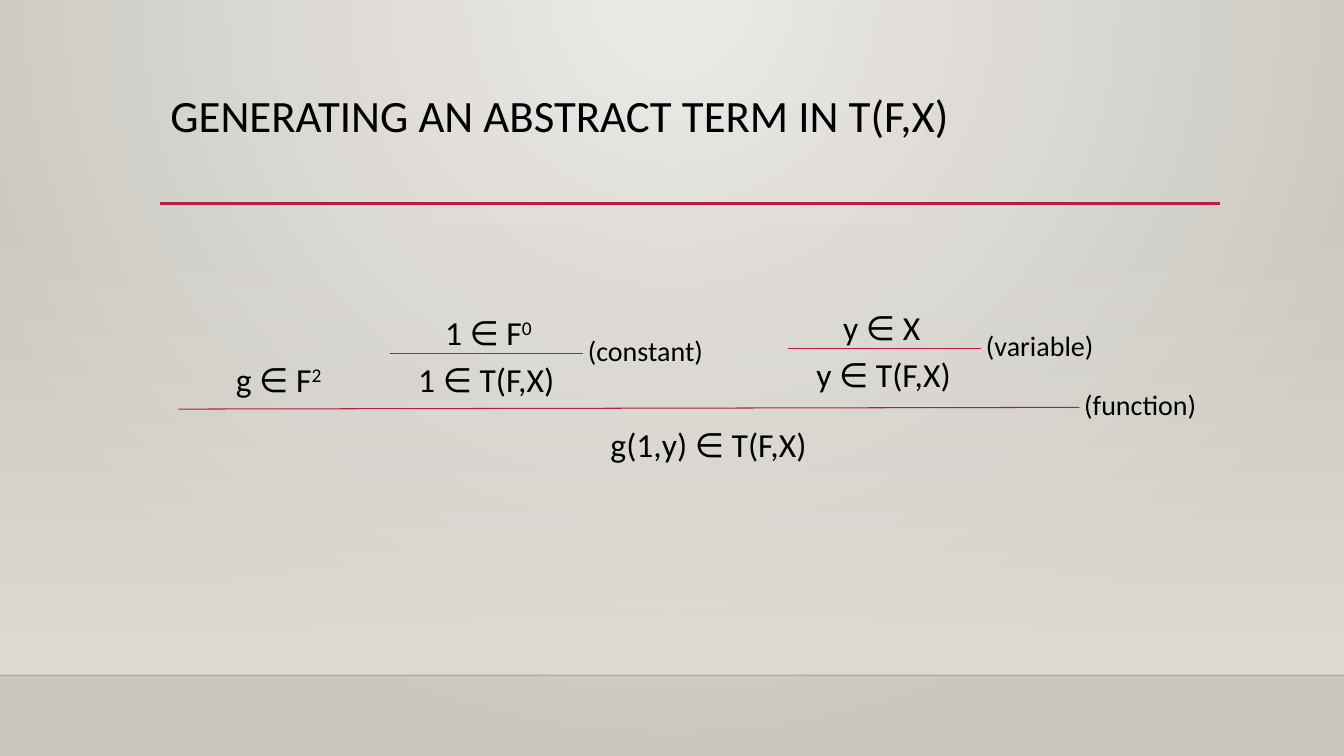
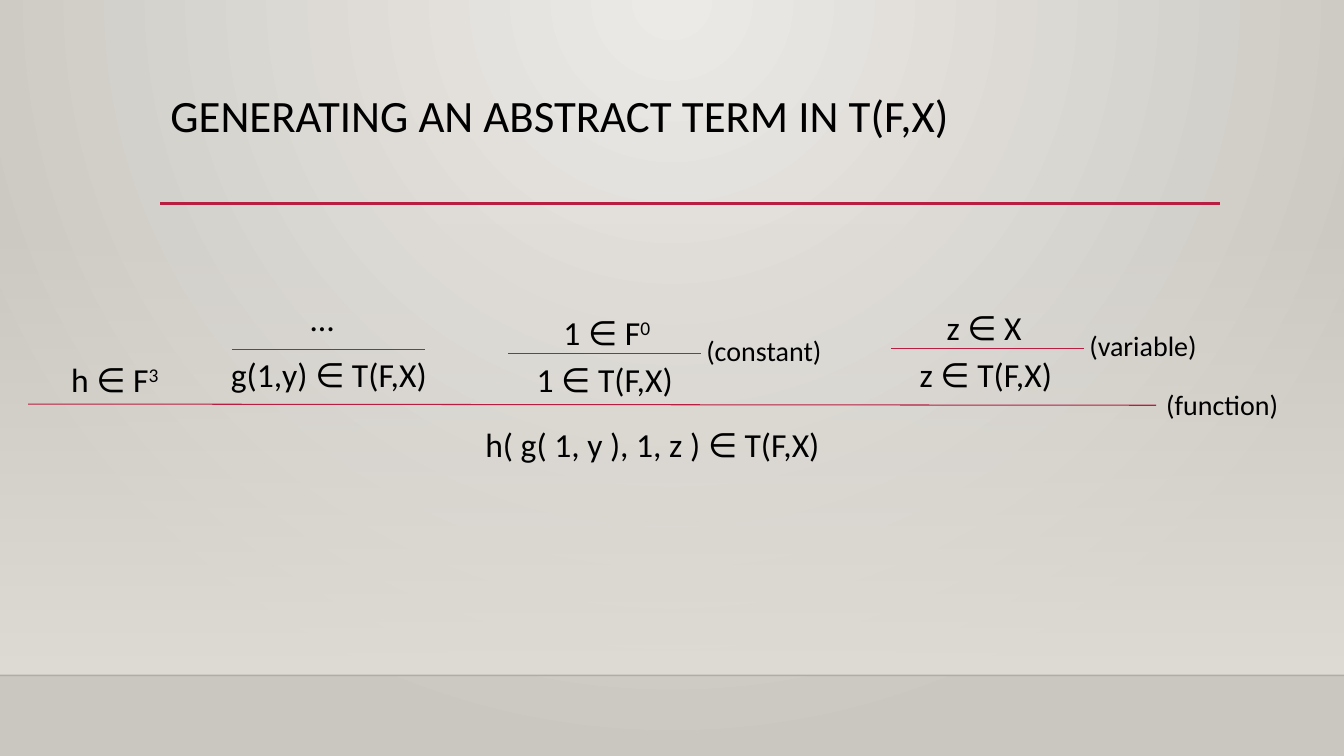
from pptx import Presentation
from pptx.dml.color import RGBColor
from pptx.enum.shapes import MSO_CONNECTOR, MSO_SHAPE
from pptx.enum.text import MSO_ANCHOR, PP_ALIGN
from pptx.oxml.ns import qn
from pptx.util import Inches, Pt
from lxml import etree

STRAIGHT = MSO_CONNECTOR.STRAIGHT
RECTANGLE = MSO_SHAPE.RECTANGLE
TOP = MSO_ANCHOR.TOP
LEFT = PP_ALIGN.LEFT

COLORS = {
    "text": "000000",
    "accent": "B71E42",
    "center": "ECEAE7",
    "edge": "CAC7C1",
    "wall": "DFDBD5",
    "floor_line": "000001",
}
FONT = "Calibri"
COLUMNS, ROWS = 160, 90
TITLE = "GENERATING AN ABSTRACT TERM IN T(F,X)"
TITLE_SIZE, FORMULA_SIZE, LABEL_SIZE = 32, 24, 20
BAR_LENGTH = 23
WALL_TOP, FLOOR = 26.5, 80.4


def rgb(name):
    """Return the named colour."""
    return RGBColor.from_string(COLORS[name])


def set_opacity(element, percent):
    """Make the first colour inside an element partly transparent."""
    color = next(element.iter(qn("a:srgbClr")))
    etree.SubElement(color, qn("a:alpha")).set("val", str(percent * 1000))


def set_gradient(fill, *names):
    """Give a fill two gradient stops."""
    fill.gradient()
    for position, (stop, name) in enumerate(zip(fill.gradient_stops, names)):
        stop.position = position
        stop.color.rgb = rgb(name)


class Deck:
    """Holds the shared style and the current slide."""

    def __init__(self):
        """Start a wide presentation."""
        self.presentation = Presentation()
        self.presentation.slide_width = Inches(13.33)
        self.presentation.slide_height = Inches(7.5)
        self.slide = None

    def x(self, columns):
        """Convert grid columns to a length."""
        return round(self.presentation.slide_width * columns / COLUMNS)

    def y(self, rows):
        """Convert grid rows to a length."""
        return round(self.presentation.slide_height * rows / ROWS)

    def new_slide(self, title):
        """Add a slide with its backdrop, rule and title."""
        self.slide = self.presentation.slides.add_slide(
            self.presentation.slide_layouts[6])
        self.background()
        self.wall()
        floor_line = self.line(0, FLOOR, COLUMNS, FLOOR, 1, "floor_line")
        set_opacity(floor_line.line._ln, 20)
        self.line(19.1, 24.25, 145.2, 24.25, 2.5)
        heading = self.text(title, 19.1, 10.55, 126, 13.8, TITLE_SIZE)
        heading.text_frame.paragraphs[0].line_spacing = 0.9

    def background(self):
        """Fill the slide with light that spreads from the top centre."""
        set_gradient(self.slide.background.fill, "center", "edge")
        gradient = next(self.slide.element.iter(qn("a:gradFill")))
        gradient.remove(gradient.find(qn("a:lin")))
        circle = etree.SubElement(gradient, qn("a:path"))
        circle.set("path", "circle")
        focus = etree.SubElement(circle, qn("a:fillToRect"))
        for side, share in zip("ltrb", (43, 0, 43, 100)):
            focus.set(side, str(share * 1000))

    def wall(self):
        """Add the panel that fades in down to the floor line."""
        shape = self.slide.shapes.add_shape(
            RECTANGLE, 0, self.y(WALL_TOP),
            self.x(COLUMNS), self.y(FLOOR - WALL_TOP))
        shape.shadow.inherit = False
        shape.line.fill.background()
        set_gradient(shape.fill, "wall", "wall")
        shape.fill.gradient_angle = 270
        set_opacity(shape.element.spPr, 0)

    def line(self, left, top, right, bottom, weight=0.75, color="accent"):
        """Draw a straight line between two grid points."""
        connector = self.slide.shapes.add_connector(
            STRAIGHT, self.x(left), self.y(top), self.x(right), self.y(bottom))
        connector.line.width = Pt(weight)
        connector.line.color.rgb = rgb(color)
        etree.SubElement(connector.element.spPr, qn("a:effectLst"))
        return connector

    def text(self, words, left, top, width, height=6, size=FORMULA_SIZE):
        """Add text; whatever follows a caret is raised."""
        shape = self.slide.shapes.add_textbox(
            self.x(left), self.y(top), self.x(width), self.y(height))
        frame = shape.text_frame
        frame.word_wrap = True
        frame.vertical_anchor = TOP
        paragraph = frame.paragraphs[0]
        paragraph.alignment = LEFT
        base, _, exponent = words.partition("^")
        paragraph.text = base
        if exponent:
            raised = paragraph.add_run()
            raised.text = exponent
            raised.font._element.set("baseline", "30000")
        for run in paragraph.runs:
            run.font.name = FONT
            run.font.size = Pt(size)
            run.font.color.rgb = rgb("text")
        return shape

    def label(self, words, left, top):
        """Name a derivation rule beside its bar."""
        self.text(words, left, top, 20, 5.3, LABEL_SIZE)

    def axiom(self, premise, conclusion, rule, left, top):
        """Add a premise over a conclusion, with the rule's name."""
        self.text(premise, left + 5.4, top - 5.5, 15.6)
        self.text(conclusion, left + 2.2, top, 20.2)
        self.line(left, top, left + BAR_LENGTH, top)
        self.label(rule, left + 22.4, top - 2.95)

    def constant(self, left):
        """Derive the constant 1."""
        self.axiom("1 ∈ F^0", "1 ∈ T(F,X)", "(constant)", left, 42.1)

    def variable(self, name, left):
        """Derive a variable."""
        self.axiom(f"{name} ∈ X", f"{name} ∈ T(F,X)", "(variable)", left, 41.5)

    def shortened(self, conclusion, left, top):
        """Add a conclusion whose derivation is left out."""
        self.text("…", left + 8.2, top - 6.8, 7.3)
        self.text(conclusion, left - 1.3, top - 0.1, 30.4)
        self.line(left, top, left + BAR_LENGTH, top)

    def function(self, symbol, symbol_left, bar, label_left,
                 conclusion, conclusion_left, width):
        """Add the function symbol, the long bar and the final term."""
        self.text(symbol, symbol_left, 42.1, 14.5)
        self.line(*bar)
        self.label("(function)", label_left, 45.6)
        self.text(conclusion, conclusion_left, 49.9, width)


deck = Deck()

deck.new_slide(TITLE)
deck.constant(46.4)
deck.variable("y", 93.8)
deck.function("g ∈ F^2", 26.9, (21.25, 48.7, 128.5, 48.5), 127.9,
              "g(1,y) ∈ T(F,X)", 71.5, 32.4)

deck.new_slide(TITLE)
deck.shortened("g(1,y) ∈ T(F,X)", 27.6, 41.65)
deck.constant(60.5)
deck.variable("z", 106.1)
deck.function("h ∈ F^3", 7.3, (3.35, 48.1, 137.65, 48.25), 137.65,
              "h( g( 1, y ), 1, z ) ∈ T(F,X)", 56.6, 49.4)

deck.presentation.save("out.pptx")
